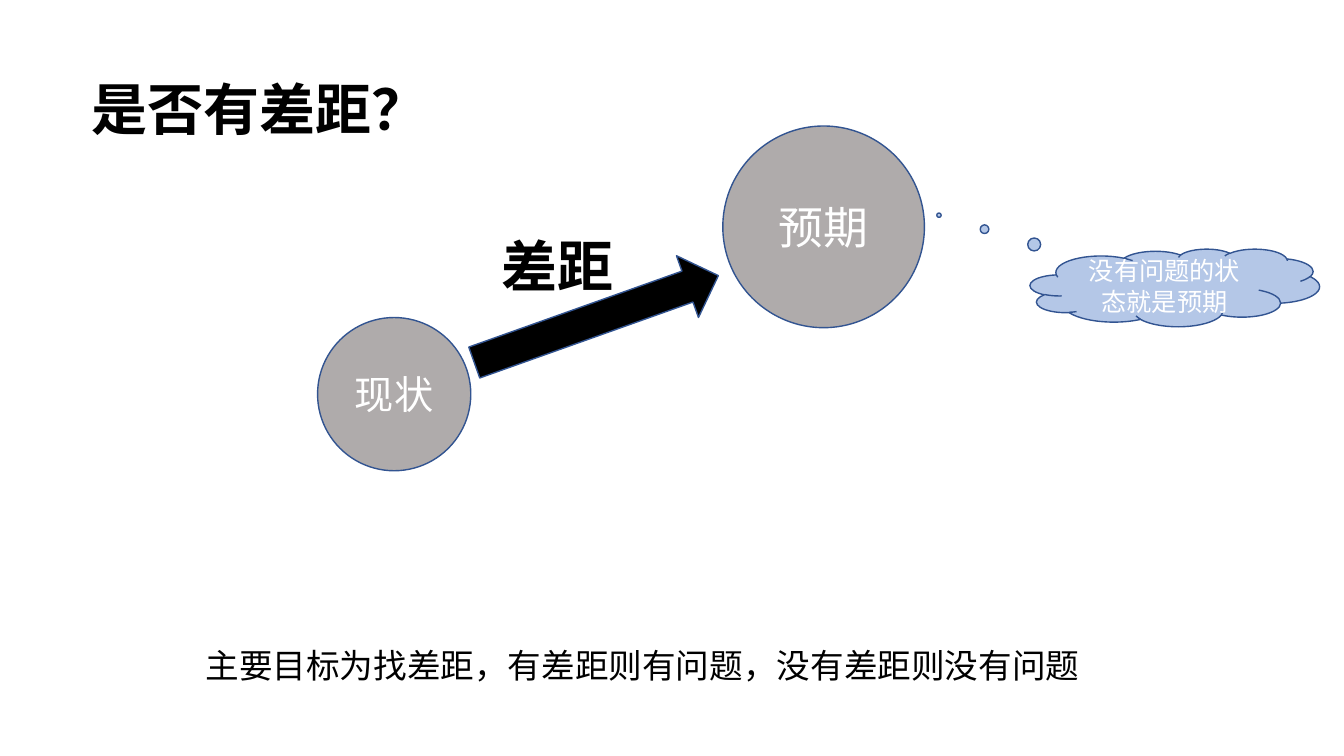
"""Build a slide on the gap between the present state and the expected one."""
from dataclasses import dataclass
from typing import Optional

from lxml.etree import SubElement
from pptx import Presentation
from pptx.dml.color import RGBColor
from pptx.enum.lang import MSO_LANGUAGE_ID
from pptx.enum.shapes import MSO_SHAPE
from pptx.enum.text import MSO_ANCHOR, MSO_AUTO_SIZE, PP_ALIGN
from pptx.oxml.ns import qn
from pptx.util import Inches, Pt

WIDE, HIGH = Inches(13.33), Inches(7.5)


@dataclass(frozen=True)
class Theme:
    font: str = "Noto Sans CJK SC"
    black: str = "000000"
    white: str = "FFFFFF"
    gray: str = "AFABAB"
    sky: str = "B4C7E7"
    edge: str = "325491"
    head: int = 40
    goal: int = 32
    state: int = 28
    note: int = 24
    cloud: int = 18


@dataclass(frozen=True)
class Box:
    """Hold a place as percentages of the slide's width and height."""
    left: float
    top: float
    width: float
    height: float

    def place(self) -> tuple:
        return (int(WIDE * self.left / 100), int(HIGH * self.top / 100),
                int(WIDE * self.width / 100), int(HIGH * self.height / 100))


@dataclass(frozen=True)
class Form:
    kind: MSO_SHAPE
    box: Box
    fill: str
    text: str = ""
    size: Optional[int] = None
    turn: float = 0
    tail: tuple = ()


@dataclass(frozen=True)
class Label:
    box: Box
    text: str
    size: int
    bold: bool = False
    wrap: bool = False


LOOK = Theme()

ITEMS = (
    Form(MSO_SHAPE.OVAL, Box(23.63, 42, 11.4, 20.27), LOOK.gray,
         "现状", LOOK.state),
    Form(MSO_SHAPE.OVAL, Box(53.78, 16.67, 15, 26.67), LOOK.gray,
         "预期", LOOK.goal),
    Label(Box(36.6, 30, 10.2, 10.27), "差距", LOOK.head, bold=True, wrap=True),
    Form(MSO_SHAPE.RIGHT_ARROW, Box(34.73, 37.87, 19.28, 8.67), LOOK.black,
         turn=340.4),
    Label(Box(14.55, 84.67, 67.13, 6.67),
          "主要目标为找差距，有差距则有问题，没有差距则没有问题", LOOK.note),
    Label(Box(6.08, 9.2, 26.78, 10.27), "是否有差距？", LOOK.head, bold=True),
    Form(MSO_SHAPE.CLOUD_CALLOUT, Box(76.65, 32.93, 21.53, 10.27), LOOK.sky,
         "没有问题的状态就是预期", LOOK.cloud, tail=(-0.815, -0.935)),
)


def write(frame, text: str, *, size: int, color: str, bold: bool = False,
          align: PP_ALIGN = PP_ALIGN.LEFT, wrap: bool = True) -> None:
    frame.word_wrap = wrap
    line = frame.paragraphs[0]
    line.alignment = align
    run = line.add_run()
    run.text = text
    font = run.font
    font.size, font.bold, font.name = Pt(size), bold, LOOK.font
    font.color.rgb = RGBColor.from_string(color)
    font.language_id = MSO_LANGUAGE_ID.SIMPLIFIED_CHINESE
    SubElement(run._r.get_or_add_rPr(), qn("a:ea"), typeface=LOOK.font)


def draw_form(slide, form: Form) -> None:
    shape = slide.shapes.add_shape(form.kind, *form.box.place())
    shape.shadow.inherit = False
    shape.rotation = form.turn
    shape.fill.solid()
    shape.fill.fore_color.rgb = RGBColor.from_string(form.fill)
    shape.line.color.rgb = RGBColor.from_string(LOOK.edge)
    shape.line.width = Pt(1)
    for index, value in enumerate(form.tail):
        shape.adjustments[index] = value
    if form.text:
        shape.text_frame.vertical_anchor = MSO_ANCHOR.MIDDLE
        write(shape.text_frame, form.text, size=form.size,
              color=LOOK.white, align=PP_ALIGN.CENTER)


def draw_label(slide, label: Label) -> None:
    frame = slide.shapes.add_textbox(*label.box.place()).text_frame
    frame.auto_size = MSO_AUTO_SIZE.SHAPE_TO_FIT_TEXT
    write(frame, label.text, size=label.size, color=LOOK.black,
          bold=label.bold, wrap=label.wrap)


def main() -> None:
    deck = Presentation()
    deck.slide_width, deck.slide_height = WIDE, HIGH
    slide = deck.slides.add_slide(deck.slide_layouts[6])
    for item in ITEMS:
        if isinstance(item, Form):
            draw_form(slide, item)
        else:
            draw_label(slide, item)
    deck.save("out.pptx")


if __name__ == "__main__":
    main()
